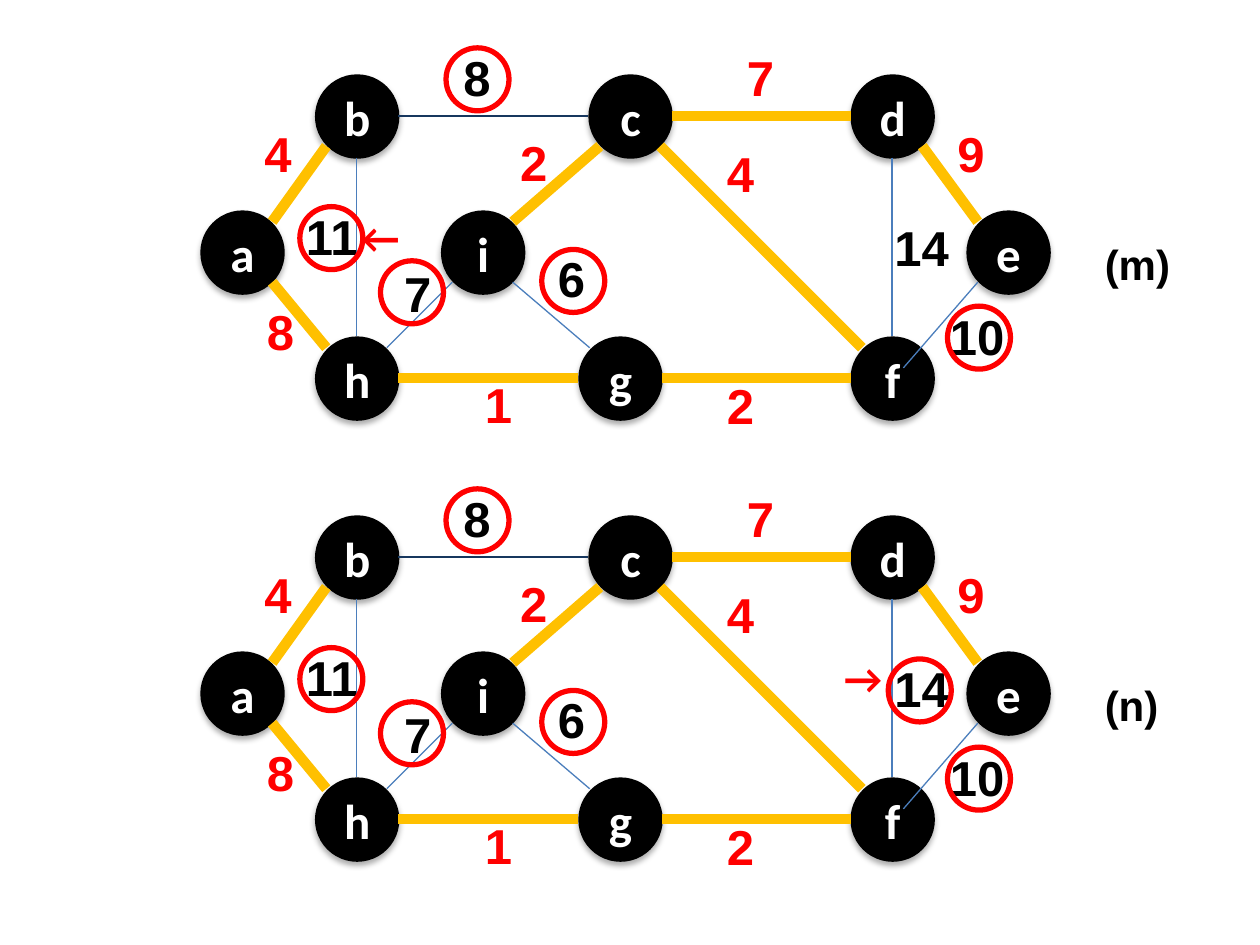
from lxml.etree import SubElement
from pptx import Presentation
from pptx.dml.color import RGBColor
from pptx.enum.shapes import MSO_CONNECTOR as Conn, MSO_SHAPE as Shape
from pptx.enum.text import MSO_ANCHOR as Anchor, MSO_AUTO_SIZE as Fit, PP_ALIGN as Align
from pptx.oxml.ns import qn
from pptx.util import Pt

SCALE = 9144
BLACK, WHITE, RED = "000000", "FFFFFF", "FF0000"
GOLD, BLUE, NAVY = "FFC000", "4B7EBC", "17375E"
NODE, RING = 67, 50

NODES = {
    "b": (283, 92), "c": (500, 92), "d": (708, 92),
    "a": (192, 200), "i": (383, 200), "e": (800, 200),
    "h": (283, 300), "g": (492, 300), "f": (708, 300),
}
SIDES = {
    "N": (0, -33), "S": (0, 33), "W": (-33, 0), "E": (33, 0),
    "NW": (-24, -24), "NE": (24, -24), "SW": (-24, 24), "SE": (24, 24),
    "mid": (9, -8),
}
EDGES = [
    ("b", "E", "c", "W", NAVY, 1), ("c", "E", "d", "W", GOLD, 6),
    ("g", "E", "f", "W", GOLD, 6), ("h", "E", "g", "W", GOLD, 6),
    ("d", "S", "f", "N", BLUE, 0.75), ("b", "S", "h", "N", BLUE, 0.75),
    ("b", "SW", "a", "NE", GOLD, 6), ("d", "SE", "e", "NW", GOLD, 6),
    ("a", "SE", "h", "NW", GOLD, 6), ("e", "SW", "f", "mid", BLUE, 0.75),
    ("c", "SW", "i", "NE", GOLD, 6), ("i", "SW", "h", "NE", BLUE, 0.75),
    ("i", "SE", "g", "NW", BLUE, 0.75), ("c", "SE", "f", "NW", GOLD, 6),
]
COSTS = [
    ("4", 200, 93, 50, RED), ("8", 358, 33, 50, BLACK),
    ("7", 583, 33, 50, RED), ("9", 750, 93, 50, RED),
    ("11", 233, 159, 67, BLACK), ("8", 202, 234, 67, RED),
    ("7", 311, 204, 67, BLACK), ("6", 433, 192, 67, BLACK),
    ("1", 375, 292, 67, RED), ("2", 403, 100, 67, RED),
    ("2", 567, 293, 67, RED), ("4", 567, 109, 67, RED),
    ("14", 700, 168, 67, BLACK), ("10", 744, 238, 67, BLACK),
]
RINGS = [(430, 198), (302, 207), (354, 38), (752, 243), (238, 164)]


def px(*sizes):
    """Turn px lengths into EMU."""
    return [round(size * SCALE) for size in sizes]


def rgb(code):
    """Turn a hex string into a colour."""
    return RGBColor.from_string(code)


def style(frame, text, size, face, color):
    """Set the text of a frame in one bold style."""
    frame.text = text
    font = frame.paragraphs[0].runs[0].font
    font.size, font.name, font.bold = Pt(size), face, True
    font.color.rgb = rgb(color)


def add_text(shapes, text, box, size, face, color):
    """Add a text box that grows with its text."""
    label = shapes.add_textbox(*px(*box))
    frame = label.text_frame
    frame.word_wrap = True
    frame.auto_size = Fit.SHAPE_TO_FIT_TEXT
    style(frame, text, size, face, color)
    return label


def add_node(shapes, name, x, y):
    """Add a black node with a soft shadow, centred on a point."""
    node = shapes.add_shape(Shape.OVAL, *px(x - 33, y - 33, NODE, NODE))
    node.fill.solid()
    node.fill.fore_color.rgb = rgb(BLACK)
    node.line.fill.background()
    node.shadow.inherit = False
    effects = node._element.spPr.find(qn("a:effectLst"))
    shade = SubElement(effects, qn("a:outerShdw"), blurRad="44450", dist="27940",
                       dir="5400000", rotWithShape="0")
    tone = SubElement(shade, qn("a:srgbClr"), val=BLACK)
    SubElement(tone, qn("a:alpha"), val="32000")
    frame = node.text_frame
    frame.vertical_anchor = Anchor.MIDDLE
    style(frame, name, 28, "Calibri", WHITE)
    frame.paragraphs[0].alignment = Align.CENTER


def add_edge(shapes, start, end, color, width):
    """Add a line between two points."""
    edge = shapes.add_connector(Conn.STRAIGHT, *px(*start, *end))
    edge.line.color.rgb = rgb(color)
    edge.line.width = Pt(width)
    SubElement(edge._element.spPr, qn("a:effectLst"))


def add_ring(shapes, x, y):
    """Add an open red ring."""
    ring = shapes.add_shape(Shape.OVAL, *px(x, y, RING, RING))
    ring.fill.background()
    ring.line.color.rgb = rgb(RED)
    ring.line.width = Pt(3)
    ring.shadow.inherit = False


def add_graph(shapes, left, top):
    """Add the grouped nodes, edges and costs of one graph."""
    def site(name, side):
        """Find the point on one side of a node."""
        (x, y), (dx, dy) = NODES[name], SIDES[side]
        return left + x + dx, top + y + dy

    group = shapes.add_group_shape().shapes
    for name, (x, y) in NODES.items():
        add_node(group, name, left + x, top + y)
    for tail, out, head, into, color, width in EDGES:
        add_edge(group, site(tail, out), site(head, into), color, width)
    for cost, x, y, width, color in COSTS:
        add_text(group, cost, (left + x, top + y, width, 57), 28, "Arial", color)


def add_step(shapes, left, top, title, arrow, turn, rings):
    """Add one step: graph, arrow, title and rings."""
    add_graph(shapes, left, top)
    x, y = arrow
    mark = add_text(shapes, "←", (left + x, top + y, 58, 50), 24, "Calibri", RED)
    mark.rotation = turn
    add_text(shapes, title, (left + 867, top + 184, 83, 50), 24, "Arial", BLACK)
    for x, y in rings:
        add_ring(shapes, left + x, top + y)


def main():
    """Build the slide and save it."""
    deck = Presentation()
    deck.slide_width, deck.slide_height = px(1000, 750)
    shapes = deck.slides.add_slide(deck.slide_layouts[6]).shapes
    add_step(shapes, 0, 0, "(m)", (277, 163), 0, RINGS)
    add_step(shapes, 0, 350, "(n)", (652, 169), 180, RINGS + [(705, 173)])
    deck.save("out.pptx")


if __name__ == "__main__":
    main()
